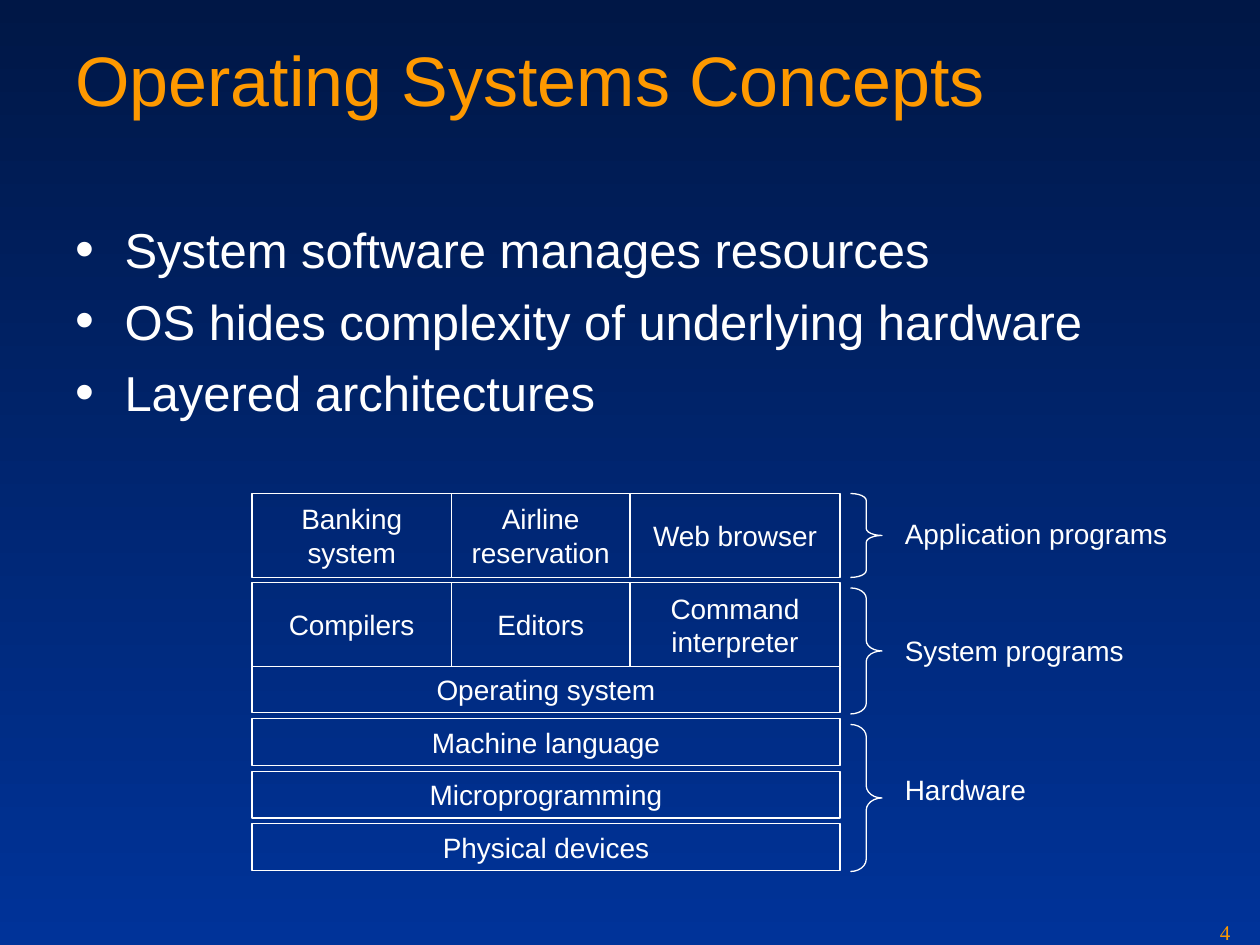
from lxml import etree
from pptx import Presentation
from pptx.dml.color import RGBColor
from pptx.enum.shapes import MSO_SHAPE
from pptx.enum.text import MSO_ANCHOR, PP_ALIGN
from pptx.oxml.ns import qn
from pptx.util import Inches, Pt

RECT, BRACE = MSO_SHAPE.RECTANGLE, MSO_SHAPE.RIGHT_BRACE
TOP, MIDDLE = MSO_ANCHOR.TOP, MSO_ANCHOR.MIDDLE
LEFT, CENTER = PP_ALIGN.LEFT, PP_ALIGN.CENTER

WHITE = RGBColor(0xFF, 0xFF, 0xFF)
ORANGE = RGBColor(0xFE, 0x99, 0x00)
NAVY = RGBColor(0x00, 0x17, 0x46)
BLUE = RGBColor(0x00, 0x33, 0x99)

UNIT = Inches(1) / 12
COLS, ROWS = 120, 90

TITLE = {"name": "Arial", "size": Pt(40), "color": ORANGE}
BODY = {"name": "Arial", "size": Pt(28), "color": WHITE}
LABEL = {"name": "Arial", "size": Pt(16), "color": WHITE}
NUMBER = {"name": "Times New Roman", "size": Pt(12), "color": ORANGE}


class Deck:
    def __init__(self):
        self.prs = Presentation()
        self.prs.slide_width = int(COLS * UNIT)
        self.prs.slide_height = int(ROWS * UNIT)
        self.s = self.prs.slides.add_slide(self.prs.slide_layouts[6])

    def background(self, top, bottom):
        fill = self.s.background.fill
        fill.gradient()
        fill.gradient_angle = 270
        for stop, color, position in zip(fill.gradient_stops, (top, bottom), (0, 1)):
            stop.color.rgb = color
            stop.position = position

    def cells(self, *box):
        return [round(v * UNIT) for v in box]

    def add_run(self, p, text, style, align=LEFT):
        p.alignment = align
        r = p.add_run()
        r.text = text
        for key, value in style.items():
            if key == "color":
                r.font.color.rgb = value
            else:
                setattr(r.font, key, value)

    def text(self, box, text, style, wrap=True):
        sp = self.s.shapes.add_textbox(*self.cells(*box))
        tf = sp.text_frame
        tf.word_wrap, tf.vertical_anchor = wrap, TOP
        self.add_run(tf.paragraphs[0], text, style)

    def bullets(self, box, lines):
        sp = self.s.shapes.add_textbox(*self.cells(*box))
        tf = sp.text_frame
        tf.word_wrap = True
        for i, line in enumerate(lines):
            p = tf.add_paragraph() if i else tf.paragraphs[0]
            pPr = p._p.get_or_add_pPr()
            pPr.set("marL", str(Inches(0.39)))
            pPr.set("indent", str(-Inches(0.39)))
            etree.SubElement(pPr, qn("a:buSzPct")).set("val", "110000")
            etree.SubElement(pPr, qn("a:buFont")).set("typeface", "Arial")
            etree.SubElement(pPr, qn("a:buChar")).set("char", "•")
            p.line_spacing = 0.8
            p.space_before = Pt(7 if i else 0)
            p.space_after = Pt(7)
            self.add_run(p, line, BODY)

    def outline(self, kind, box):
        sp = self.s.shapes.add_shape(kind, *self.cells(*box))
        sp.shadow.inherit = False
        sp.fill.background()
        sp.line.color.rgb = WHITE
        sp.line.width = Pt(0.75)
        return sp

    def block(self, box, text):
        tf = self.outline(RECT, box).text_frame
        tf.word_wrap, tf.vertical_anchor = True, MIDDLE
        self.add_run(tf.paragraphs[0], text, LABEL, CENTER)

    def brace(self, x, y, w, h):
        sp = self.outline(BRACE, (x, y, w, h))
        sp.adjustments[0] = h / (12 * w)


def main():
    deck = Deck()
    deck.background(NAVY, BLUE)
    deck.text((6, 2.9, 108, 15), "Operating Systems Concepts", TITLE)
    deck.bullets((6, 21.4, 108, 20.9), [
        "System software manages resources",
        "OS hides complexity of underlying hardware",
        "Layered architectures",
    ])

    left, widths = 24, (19, 17, 20)
    for y, names in (
        (47, ("Banking system", "Airline reservation", "Web browser")),
        (55.5, ("Compilers", "Editors", "Command interpreter")),
    ):
        for i, (w, name) in enumerate(zip(widths, names)):
            deck.block((left + sum(widths[:i]), y, w, 8), name)

    layers = ("Operating system", "Machine language", "Microprogramming", "Physical devices")
    for i, name in enumerate(layers):
        deck.block((left, 63.45 + 5 * i, sum(widths), 4.45), name)

    for y, h, label_y, w, name in (
        (47, 8, 48.6, 27.4, "Application programs"),
        (56, 12, 59.7, 23.2, "System programs"),
        (69, 14, 73, 13.9, "Hardware"),
    ):
        deck.brace(81, y, 3, h)
        deck.text((85, label_y, w, 4.45), name, LABEL, wrap=False)

    deck.text((115, 87, 5, 3), "4", NUMBER)
    deck.prs.save("out.pptx")


if __name__ == "__main__":
    main()
